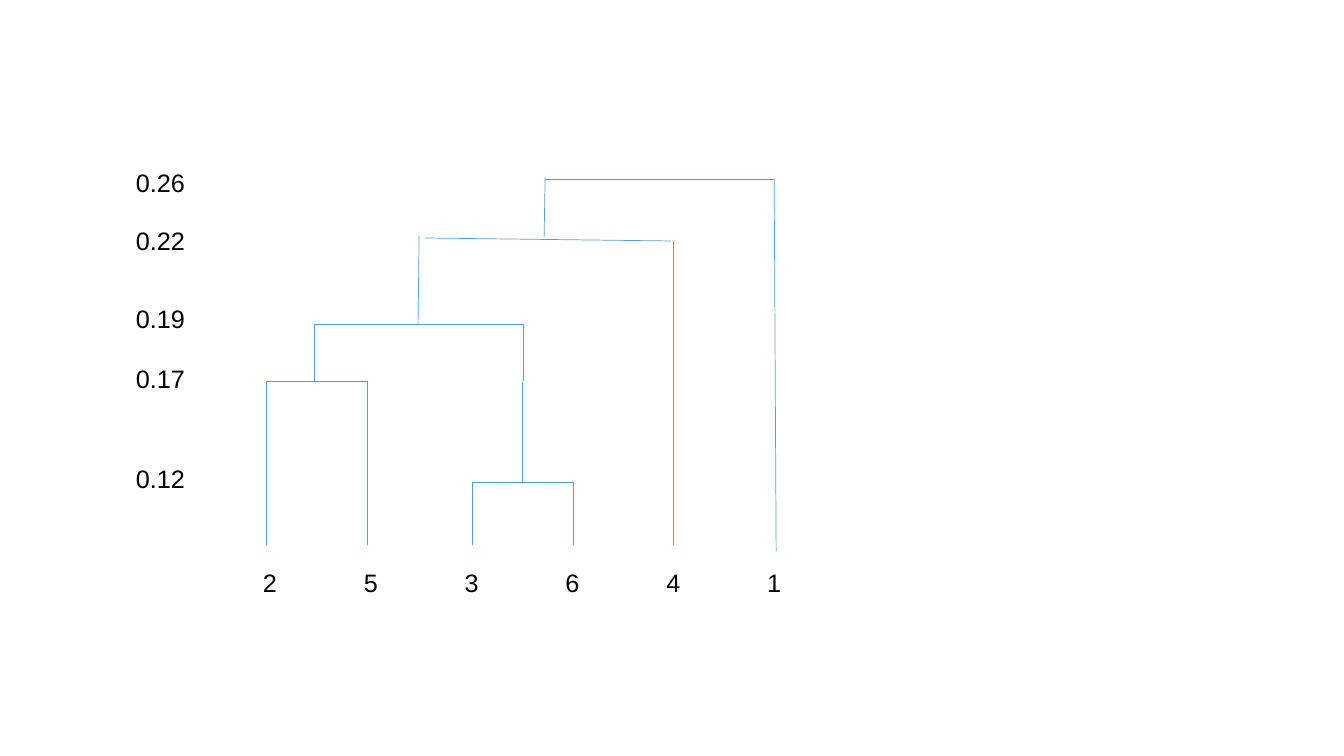
from lxml import etree
from pptx import Presentation
from pptx.dml.color import RGBColor
from pptx.enum.shapes import MSO_CONNECTOR, MSO_SHAPE
from pptx.enum.text import MSO_AUTO_SIZE
from pptx.oxml.ns import qn
from pptx.util import Emu, Inches, Pt

STRAIGHT = MSO_CONNECTOR.STRAIGHT
BRACKET = MSO_SHAPE.LEFT_BRACKET
FIT_SHAPE = MSO_AUTO_SIZE.SHAPE_TO_FIT_TEXT

THEME = {
    "font": {"name": "Arial", "size": Pt(18)},
    "text": RGBColor(0, 0, 0),
    "branch": RGBColor(0x5B, 0x9B, 0xD5),
    "branch_width": Pt(0.5),
}

LEAVES = ["2 ", "5", "3", "6", "4", "1"]
LEAF_BOX = (253, 562, 538, 40)
HEIGHTS = [("0.12", 458), ("0.17", 358), ("0.19", 298), ("0.22", 220), ("0.26", 162)]
HEIGHT_LEFT, HEIGHT_WIDTH, LABEL_HEIGHT = 126, 70, 40

MERGES = [
    (472, 482, 573, 545),
    (266, 381, 367, 545),
    (314, 324, 523, 381),
]
BRANCHES = [
    (522, 382, 522, 482),
    (673, 545, 673, 241),
    (671, 241, 425, 238),
    (418, 325, 419, 236),
    (774, 179, 545, 179),
    (544, 238, 545, 177),
    (776, 551, 774, 179),
]


def px(length):
    return Emu(round(length * 914400 / 100.8))


def style_line(line):
    line.color.rgb = THEME["branch"]
    line.width = THEME["branch_width"]


def add_label(page, text, place):
    box = page.shapes.add_textbox(*map(px, place))
    frame = box.text_frame
    for name, value in {"word_wrap": False, "auto_size": FIT_SHAPE}.items():
        setattr(frame, name, value)
    para = frame.paragraphs[0]
    span = para.add_run()
    span.text = text
    for name, value in THEME["font"].items():
        setattr(span.font, name, value)
    span.font.color.rgb = THEME["text"]
    return para


def add_merge(page, left, top, right, bottom):
    width, height = right - left, bottom - top
    middle_x, middle_y = (left + right) / 2, (top + bottom) / 2
    place = (middle_x - height / 2, middle_y - width / 2, height, width)
    bracket = page.shapes.add_shape(BRACKET, *map(px, place))
    bracket.rotation = 90
    bracket.adjustments[0] = 0
    bracket.shadow.inherit = False
    bracket.fill.background()
    style_line(bracket.line)


def add_branch(page, ends):
    branch = page.shapes.add_connector(STRAIGHT, *map(px, ends))
    style_line(branch.line)
    etree.SubElement(branch._element.spPr, qn("a:effectLst"))


deck = Presentation()
deck.slide_width, deck.slide_height = Inches(13.33), Inches(7.5)
page = deck.slides.add_slide(deck.slide_layouts[6])

leaf_para = add_label(page, "\t".join(LEAVES), LEAF_BOX)
tabs = etree.SubElement(leaf_para._p.get_or_add_pPr(), qn("a:tabLst"))
for step in range(1, len(LEAVES)):
    etree.SubElement(tabs, qn("a:tab"), pos=str(Inches(step)), algn="l")

for text, top in HEIGHTS:
    add_label(page, text, (HEIGHT_LEFT, top, HEIGHT_WIDTH, LABEL_HEIGHT))
for merge in MERGES:
    add_merge(page, *merge)
for ends in BRANCHES:
    add_branch(page, ends)

deck.save("out.pptx")
